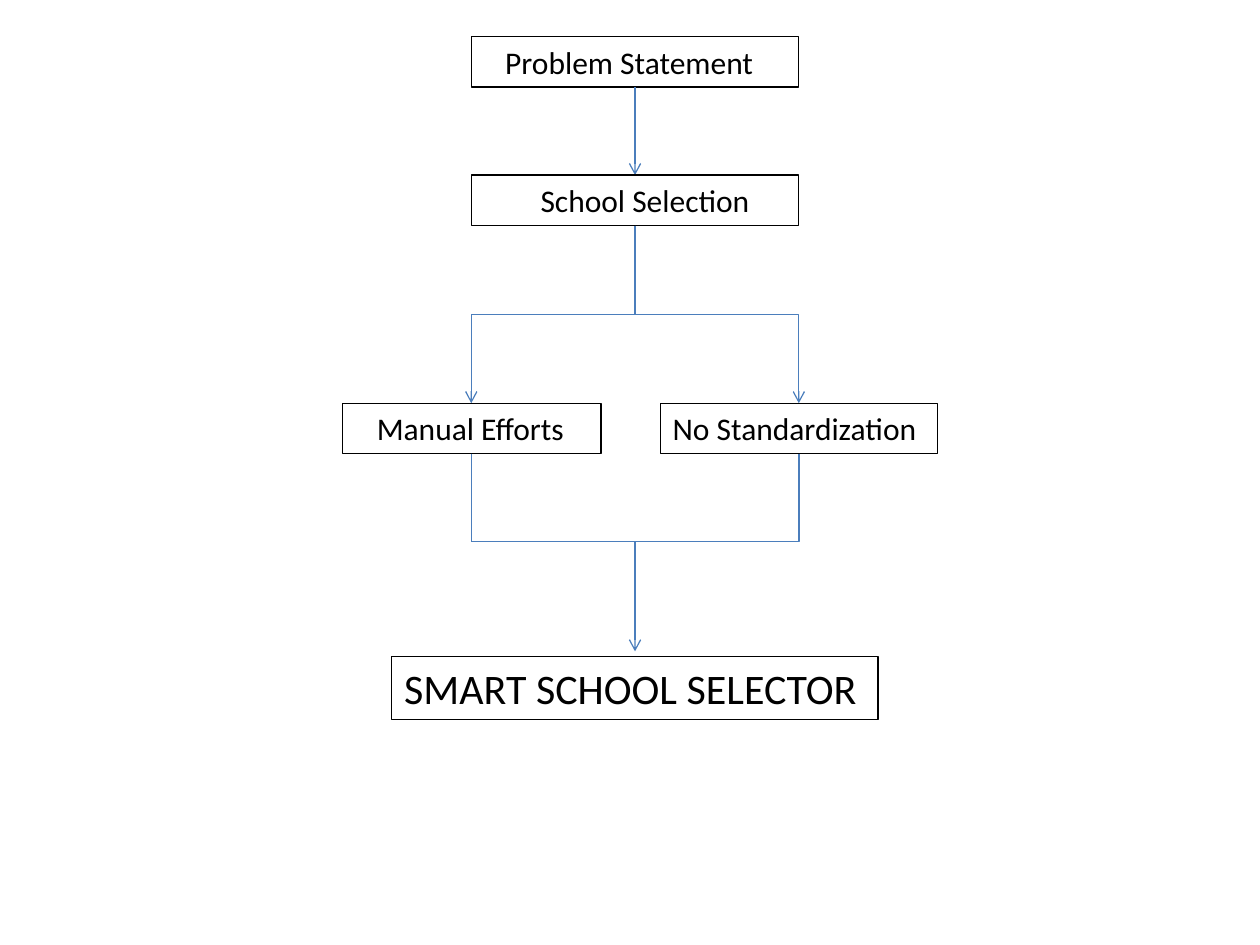
import pptx
import pptx.util
import pptx.dml.color
import pptx.enum.shapes
import pptx.enum.text
import pptx.oxml
import pptx.oxml.ns

Inches = pptx.util.Inches
CONNECTOR = pptx.enum.shapes.MSO_CONNECTOR
COLORS = {"line": "4B7EBC", "border": "000000", "text": "000000"}
FONT = "Calibri"
BOX_H = 0.4
GAP = 0.7
INSET = 0.1


def rgb(name):
    """Return the named colour."""
    return pptx.dml.color.RGBColor.from_string(COLORS[name])


def add_child(parent, tag, **attrs):
    """Append a drawing element with attributes."""
    child = pptx.oxml.parse_xml(f"<{tag} {pptx.oxml.ns.nsdecls('a')}/>")
    for key, value in attrs.items():
        child.set(key, value)
    parent.append(child)


def write_text(tf, text, size=18, color="text", indent=0):
    """Write one left-aligned line, indented from the box edge."""
    tf.word_wrap = True
    tf.vertical_anchor = pptx.enum.text.MSO_ANCHOR.TOP
    tf.margin_left = Inches(INSET + indent)
    tf.margin_right = Inches(0.05)
    p = tf.paragraphs[0]
    p.alignment = pptx.enum.text.PP_ALIGN.LEFT
    r = p.add_run()
    r.text = text
    r.font.name = FONT
    r.font.size = pptx.util.Pt(size)
    r.font.color.rgb = rgb(color)


def add_box(s, x, y, w, text, h=BOX_H, **fmt):
    """Add an outlined box holding one line of text."""
    sp = s.shapes.add_shape(pptx.enum.shapes.MSO_SHAPE.RECTANGLE,
                            Inches(x), Inches(y), Inches(w), Inches(h))
    sp.shadow.inherit = False
    sp.fill.background()
    sp.line.color.rgb = rgb("border")
    sp.line.width = pptx.util.Pt(0.75)
    write_text(sp.text_frame, text, **fmt)


def add_line(s, x1, y1, x2, y2, arrow=True, kind=CONNECTOR.STRAIGHT):
    """Add a connector, with an open arrowhead at its end if wanted."""
    line = s.shapes.add_connector(kind, Inches(x1), Inches(y1), Inches(x2), Inches(y2))
    line.line.color.rgb = rgb("line")
    line.line.width = pptx.util.Pt(0.75)
    if arrow:
        add_child(line.line._get_or_add_ln(), "a:tailEnd", type="arrow")
    add_child(line._element.spPr, "a:effectLst")
    return line


def add_elbow(s, x1, y1, x2, y2, arrow=True, preset="bentConnector3"):
    """Add an elbow that leaves downwards, as a quarter-turned connector."""
    cx, cy = (x1 + x2) / 2, (y1 + y2) / 2
    half_w, half_h = (y2 - y1) / 2, abs(x2 - x1) / 2
    side = -1 if x2 > x1 else 1
    line = add_line(s, cx - side * half_w, cy - half_h, cx + side * half_w, cy + half_h,
                    arrow, CONNECTOR.ELBOW)
    spPr = line._element.spPr
    spPr.find(pptx.oxml.ns.qn("a:xfrm")).set("rot", str((90 if side > 0 else 270) * 60000))
    spPr.find(pptx.oxml.ns.qn("a:prstGeom")).set("prst", preset)


def problem(s, x, y, w):
    """Place the two stacked problem boxes; return the bottom edge."""
    below = y + BOX_H + GAP
    add_box(s, x, y, w, "Problem Statement", indent=0.17)
    add_line(s, x + w / 2, y + BOX_H, x + w / 2, below)
    add_box(s, x, below, w, "School Selection", indent=0.45)
    return below + BOX_H


def causes(s, x, y, w):
    """Branch to the two causes and join them again; return the join level."""
    top = y + 2 * GAP + 0.01
    bottom = top + BOX_H
    join = bottom + GAP
    for end in (x, x + w):
        add_elbow(s, x + w / 2, y, end, top)
    add_box(s, x - 1.02, top, 2.05, "Manual Efforts", indent=0.17)
    add_box(s, x + 1.5, top, 2.2, "No Standardization")
    add_line(s, x, bottom, x, join, arrow=False)
    add_elbow(s, x + w, bottom, x, join, arrow=False, preset="bentConnector2")
    return join


def solution(s, x, y, w):
    """Lead from the join to the solution box, centred below it."""
    box_w = 3.86
    center = x + w / 2
    add_line(s, center, y, center, y + 0.87)
    add_box(s, center - box_w / 2, y + 0.91, box_w, "SMART SCHOOL SELECTOR", h=0.5, size=24)


def main():
    """Build the flow chart and save it."""
    prs = pptx.Presentation()
    prs.slide_width, prs.slide_height = Inches(10), Inches(7.5)
    s = prs.slides.add_slide(prs.slide_layouts[6])
    x, y, w = 3.74, 0.29, 2.6
    for region in (problem, causes, solution):
        y = region(s, x, y, w)
    prs.save("out.pptx")


main()
